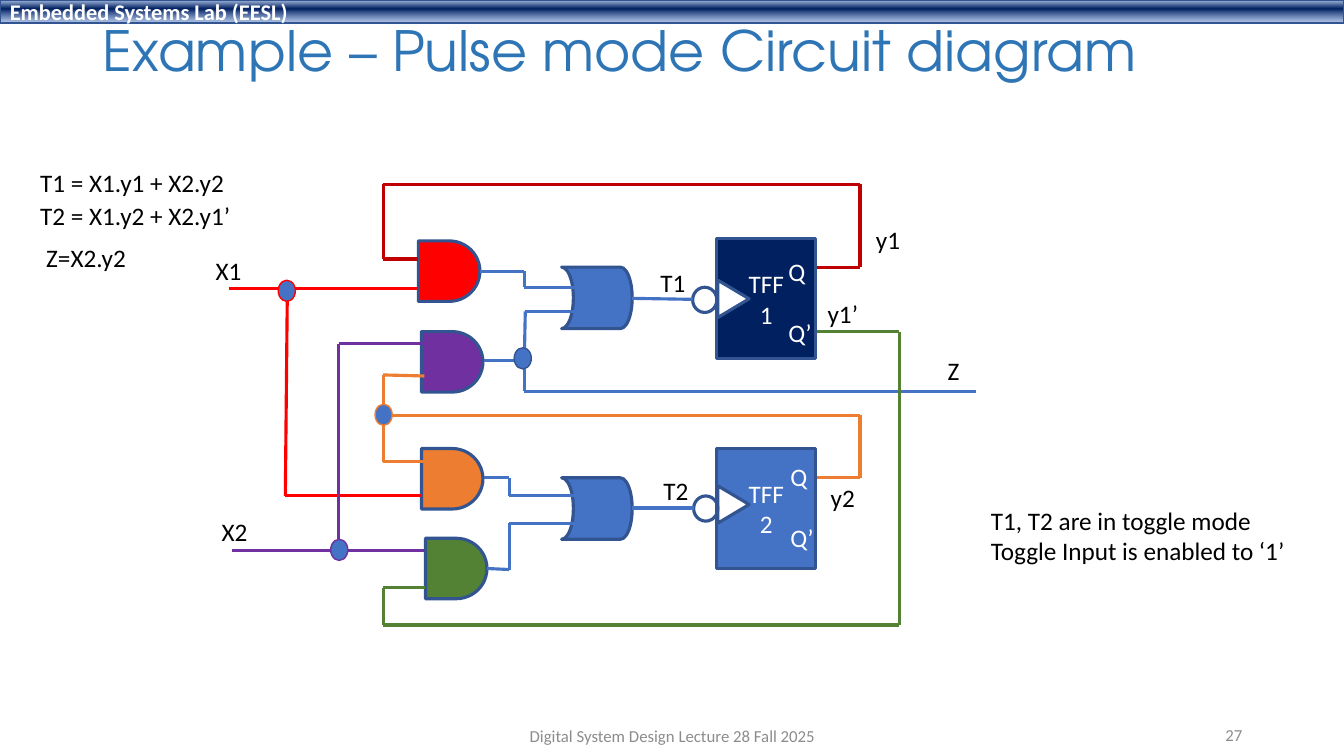
"""Builds a slide with the pulse mode circuit diagram of two toggle flip-flops."""
from dataclasses import dataclass
from itertools import pairwise
from typing import Optional

from pptx import Presentation
from pptx.dml.color import RGBColor
from pptx.enum.shapes import MSO_CONNECTOR, MSO_SHAPE
from pptx.enum.text import MSO_ANCHOR, MSO_AUTO_SIZE, PP_ALIGN
from pptx.oxml import parse_xml
from pptx.oxml.ns import qn
from pptx.util import Inches, Pt

WHITE = RGBColor(0xFF, 0xFF, 0xFF)
BLACK = RGBColor(0x00, 0x00, 0x00)
GRAY = RGBColor(0x8C, 0x8C, 0x8C)
TITLE_BLUE = RGBColor(0x2E, 0x75, 0xB6)
OUTLINE = RGBColor(0x32, 0x54, 0x91)
BLUE = RGBColor(0x44, 0x72, 0xC4)
NAVY = RGBColor(0x00, 0x20, 0x60)
RED = RGBColor(0xFF, 0x00, 0x00)
DARK_RED = RGBColor(0xC0, 0x00, 0x00)
PURPLE = RGBColor(0x70, 0x30, 0xA0)
ORANGE = RGBColor(0xED, 0x7D, 0x31)
GREEN = RGBColor(0x54, 0x82, 0x35)
A_NS = "http://schemas.openxmlformats.org/drawingml/2006/main"
BAR_STOPS = [(2, "ABC0E4", 100), (38, "002060", 100), (93, "7E9ED6", 64)]


@dataclass
class Part:
    kind: MSO_SHAPE
    box: tuple[float, float, float, float]
    fill: Optional[RGBColor] = None
    lines: tuple[str, ...] = ()
    rotation: float = 0
    line: RGBColor = OUTLINE
    weight: float = 2.25


@dataclass
class Wire:
    color: RGBColor
    points: list[tuple[float, float]]


@dataclass
class Label:
    lines: tuple[str, ...]
    box: tuple[float, float, float, float]
    color: RGBColor = BLACK
    size: float = 18
    align: PP_ALIGN = PP_ALIGN.LEFT
    anchor: MSO_ANCHOR = MSO_ANCHOR.TOP
    gap: float = 0
    wrap: bool = False


def gate(x: float, y: float, fill: RGBColor) -> Part:
    """Describes an AND gate."""
    return Part(MSO_SHAPE.FLOWCHART_DELAY, (x, y, 0.61, 0.6), fill)


def or_gate(y: float) -> Part:
    """Describes an OR gate."""
    return Part(MSO_SHAPE.FLOWCHART_STORED_DATA, (5.57, y, 0.7, 0.61), BLUE, rotation=180)


def flip_flop(y: float, number: str, fill: RGBColor) -> Part:
    """Describes a toggle flip-flop."""
    return Part(MSO_SHAPE.RECTANGLE, (7.11, y, 0.98, 1.19), fill, ("TFF", number))


def clock(y: float) -> Part:
    """Describes the clock triangle of a flip-flop."""
    return Part(MSO_SHAPE.FLOWCHART_EXTRACT, (7.09, y, 0.37, 0.31), WHITE, rotation=90)


def bubble(x: float, y: float) -> Part:
    """Describes an inversion bubble."""
    return Part(MSO_SHAPE.FLOWCHART_CONNECTOR, (x, y, 0.24, 0.25))


def node(x: float, y: float, line: RGBColor) -> Part:
    """Describes a junction dot."""
    return Part(MSO_SHAPE.OVAL, (x, y, 0.17, 0.21), BLUE, line=line, weight=1)


def name(text: str, x: float, y: float, width: float) -> Label:
    """Describes a one-line label."""
    return Label((text,), (x, y, width, 0.4))


def outputs(x: float, y: float) -> Label:
    """Describes the Q and Q’ labels of a flip-flop."""
    return Label(("Q", "Q’"), (x, y, 0.44, 1.01), WHITE, gap=22)


PARTS = [
    flip_flop(2.37, "1", NAVY), flip_flop(4.45, "2", BLUE),
    gate(4.15, 2.39, RED), gate(4.18, 3.29, PURPLE),
    gate(4.18, 4.45, ORANGE), gate(4.22, 5.34, GREEN),
    or_gate(2.65), or_gate(4.74), clock(2.81), clock(4.85),
    bubble(6.88, 4.92), bubble(6.87, 2.85),
]
WIRES = [
    Wire(BLUE, [(6.27, 2.96), (6.87, 2.97)]),
    Wire(BLUE, [(6.27, 5.04), (6.88, 5.04)]),
    Wire(BLUE, [(4.83, 5.64), (5.05, 5.65), (5.05, 5.19), (5.69, 5.19)]),
    Wire(BLUE, [(4.8, 4.74), (5.05, 4.74), (5.05, 4.92), (5.69, 4.92)]),
    Wire(BLUE, [(4.8, 3.58), (5.2, 3.58), (5.21, 3.09), (5.69, 3.09)]),
    Wire(BLUE, [(4.76, 2.69), (5.2, 2.69), (5.2, 2.85), (5.69, 2.85)]),
    Wire(BLUE, [(5.2, 3.56), (5.2, 3.88), (9.68, 3.88)]),
    Wire(ORANGE, [(8.1, 4.74), (8.53, 4.74), (8.53, 4.12), (3.8, 4.12)]),
    Wire(ORANGE, [(4.21, 3.73), (3.8, 3.72), (3.8, 4.58), (4.22, 4.58)]),
    Wire(DARK_RED, [(8.1, 2.65), (8.53, 2.65), (8.53, 1.83), (3.8, 1.83),
                    (3.8, 2.57), (4.15, 2.57)]),
    Wire(RED, [(4.15, 2.86), (2.27, 2.86)]),
    Wire(RED, [(2.85, 2.86), (2.83, 4.92), (4.18, 4.92)]),
    Wire(PURPLE, [(4.21, 5.46), (2.3, 5.46)]),
    Wire(PURPLE, [(3.36, 5.46), (3.36, 3.41), (4.22, 3.41)]),
    Wire(GREEN, [(8.1, 3.29), (8.92, 3.29), (8.92, 6.2), (3.8, 6.2),
                 (3.8, 5.83), (4.22, 5.83)]),
]
NODES = [node(3.72, 4.01, ORANGE), node(3.28, 5.35, PURPLE),
         node(2.76, 2.78, RED), node(5.1, 3.45, OUTLINE)]
LABELS = [
    name("T1 = X1.y1 + X2.y2", 0.3, 1.61, 2.05),
    name("T2 = X1.y2 + X2.y1’", 0.3, 1.94, 2.11),
    name("Z=X2.y2", 0.36, 2.35, 1),
    outputs(7.72, 2.49), outputs(7.74, 4.53),
    name("Z", 9.3, 3.48, 0.32),
    name("X1", 2.04, 2.48, 0.46), name("X2", 2.1, 5.07, 0.46),
    name("T1", 6.45, 2.6, 0.45), name("T2", 6.48, 4.67, 0.45),
    name("y1", 8.59, 2.18, 0.44), name("y1’", 8.11, 2.91, 0.51),
    name("y2", 8.14, 4.74, 0.44),
    Label(("T1, T2 are in toggle mode", "Toggle Input is enabled to ‘1’"),
          (9.73, 4.96, 3.15, 0.71)),
    Label(("Digital System Design Lecture 28 Fall 2025",), (4.42, 7.1, 4.5, 0.4),
          GRAY, 12, PP_ALIGN.CENTER, MSO_ANCHOR.MIDDLE, wrap=True),
    Label(("27",), (9.42, 7.09, 3, 0.4),
          GRAY, 12, PP_ALIGN.RIGHT, MSO_ANCHOR.MIDDLE, wrap=True),
]


def write(tf, lines, size, color, align=PP_ALIGN.LEFT, gap=0, font="Calibri", bold=False) -> None:
    """Writes one paragraph per line into a text frame."""
    for i, line in enumerate(lines):
        p = tf.paragraphs[0] if i == 0 else tf.add_paragraph()
        p.alignment = align
        if i and gap:
            p.space_before = Pt(gap)
        r = p.add_run()
        r.text = line
        r.font.size, r.font.name, r.font.bold = Pt(size), font, bold
        r.font.color.rgb = color


def draw_part(s, part: Part):
    """Draws a preset shape and returns it."""
    sp = s.shapes.add_shape(part.kind, *map(Inches, part.box))
    sp.shadow.inherit = False
    sp.rotation = part.rotation
    if part.fill is None:
        sp.fill.background()
    else:
        sp.fill.solid()
        sp.fill.fore_color.rgb = part.fill
    sp.line.color.rgb, sp.line.width = part.line, Pt(part.weight)
    sp.text_frame.vertical_anchor = MSO_ANCHOR.MIDDLE
    write(sp.text_frame, part.lines, 18, WHITE, PP_ALIGN.CENTER)
    return sp


def draw_wire(s, wire: Wire) -> None:
    """Draws a wire as a chain of straight connectors."""
    for start, end in pairwise(wire.points):
        c = s.shapes.add_connector(MSO_CONNECTOR.STRAIGHT, *map(Inches, start + end))
        c.line.color.rgb, c.line.width = wire.color, Pt(2.25)
        c._element.spPr.append(parse_xml(f'<a:effectLst xmlns:a="{A_NS}"/>'))


def draw_label(s, label: Label) -> None:
    """Draws a text box."""
    tf = s.shapes.add_textbox(*map(Inches, label.box)).text_frame
    tf.word_wrap, tf.vertical_anchor = label.wrap, label.anchor
    tf.auto_size = MSO_AUTO_SIZE.NONE if label.wrap else MSO_AUTO_SIZE.SHAPE_TO_FIT_TEXT
    write(tf, label.lines, label.size, label.color, label.align, label.gap)


def draw_bar(s) -> None:
    """Draws the gradient bar along the top edge."""
    sp = draw_part(s, Part(MSO_SHAPE.RECTANGLE, (0, 0, 13.33, 0.23), NAVY, weight=1))
    sp.fill.gradient()
    sp.fill.gradient_angle = 270
    stops = sp._element.spPr.find(".//" + qn("a:gsLst"))
    stops.clear()
    for pos, color, alpha in BAR_STOPS:
        stops.append(parse_xml(
            f'<a:gs xmlns:a="{A_NS}" pos="{pos * 1000}"><a:srgbClr val="{color}">'
            f'<a:alpha val="{alpha * 1000}"/></a:srgbClr></a:gs>'))
    write(sp.text_frame, ["Embedded Systems Lab (EESL)"], 16, WHITE, bold=True)


def draw_title(s) -> None:
    """Places and formats the title."""
    sp = s.shapes.title
    sp.left, sp.top, sp.width, sp.height = map(Inches, (0.92, 0.15, 11.5, 0.77))
    tf = sp.text_frame
    tf.vertical_anchor, tf.auto_size = MSO_ANCHOR.MIDDLE, MSO_AUTO_SIZE.NONE
    write(tf, ["Example – Pulse mode Circuit diagram"], 39.6, TITLE_BLUE, font="TeX Gyre Adventor")
    tf.paragraphs[0].line_spacing = 0.9


def main() -> None:
    """Builds and saves the slide."""
    prs = Presentation()
    prs.slide_width, prs.slide_height = Inches(13.33), Inches(7.5)
    s = prs.slides.add_slide(prs.slide_layouts[5])
    draw_bar(s)
    draw_title(s)
    for part in PARTS:
        draw_part(s, part)
    for wire in WIRES:
        draw_wire(s, wire)
    for part in NODES:
        draw_part(s, part)
    for label in LABELS:
        draw_label(s, label)
    prs.save("out.pptx")


if __name__ == "__main__":
    main()
